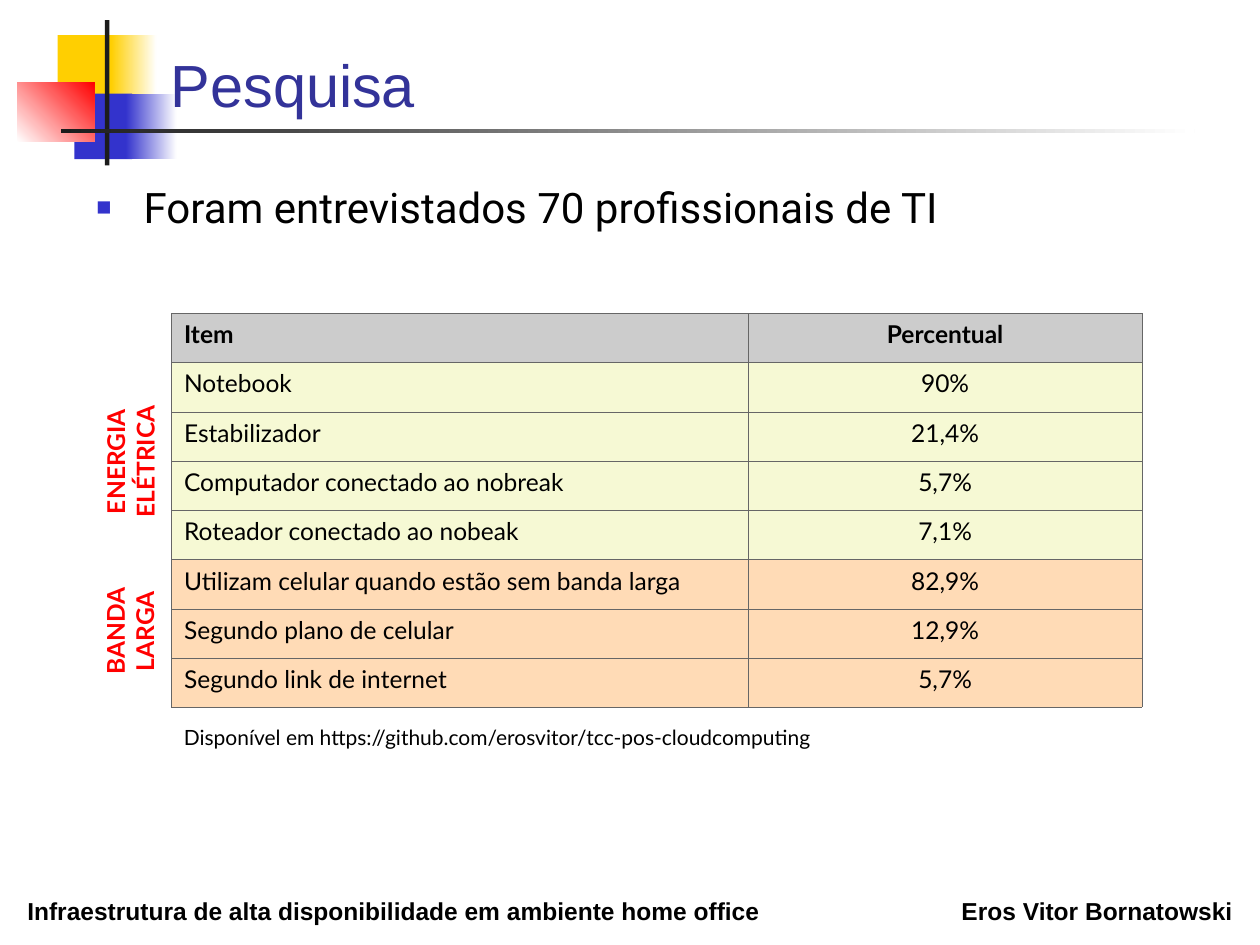
from dataclasses import dataclass
from typing import Any

from lxml import etree
from pptx import Presentation
from pptx.dml.color import RGBColor
from pptx.enum import shapes, text
from pptx.oxml import ns
from pptx.util import Pt

HUES = {
    "gold": "FFCF01", "blue": "3333CC", "red": "FF0000", "dark": "1C1C1C",
    "white": "FFFFFF", "black": "000000", "navy": "333399", "line": "666666",
    "gray": "CCCCCC", "lime": "F6F9D4", "peach": "FFDBB6",
}
LEFT, MID, RIGHT = text.PP_ALIGN.LEFT, text.PP_ALIGN.CENTER, text.PP_ALIGN.RIGHT
TOP, LOW = text.MSO_ANCHOR.TOP, text.MSO_ANCHOR.BOTTOM


@dataclass
class Block:
    x: float
    y: float
    w: float
    h: float
    hue: str
    fade: str = ""
    turn: float = 0


@dataclass
class Label:
    x: float
    y: float
    w: float
    h: float
    lines: tuple[str, ...]
    size: float
    face: str
    hue: str = "black"
    bold: bool = False
    side: Any = LEFT
    spin: float = 0
    wrap: bool = True
    hold: Any = TOP
    dot: bool = False


@dataclass
class Row:
    item: str
    share: str
    hue: str
    bold: bool = False


BLOCKS = [
    Block(33, 20, 34.5, 37.5, "gold"),
    Block(63.5, 20, 26, 37.5, "gold", "white"),
    Block(42.5, 53.5, 33, 37.5, "blue"),
    Block(72, 53.5, 29, 37.5, "blue", "white"),
    Block(10, 47, 44, 34, "white", "red", 45),
    Block(60, 11.5, 2.5, 83, "dark"),
    Block(34.75, 73.5, 648, 2.5, "dark", "white"),
]
LABELS = [
    Label(8.5, 508.5, 433.5, 24.5,
          ("Infraestrutura de alta disponibilidade em ambiente home office",),
          14, "Arial", bold=True, wrap=False),
    Label(542, 508.5, 169.5, 24.5, ("Eros Vitor Bornatowski",),
          14, "Arial", bold=True, side=RIGHT, wrap=False),
    Label(90.5, 23, 613.5, 49, ("Pesquisa",), 34, "Arial", "navy", hold=LOW),
    Label(48, 100, 646, 88, ("Foram entrevistados 70 profissionais de TI",),
          24, "Roboto", dot=True),
    Label(98, 410.5, 420, 21.5,
          ("Disponível em https://github.com/erosvitor/tcc-pos-cloudcomputing",),
          12, "Lato"),
    Label(29.5, 243.5, 89.5, 40.5, ("ENERGIA", "ELÉTRICA"),
          14, "Lato", "red", True, MID, 270),
    Label(39, 340.5, 70, 40.5, ("BANDA", "LARGA"),
          14, "Lato", "red", True, MID, 270),
]
ROWS = [
    Row("Item", "Percentual", "gray", True),
    Row("Notebook", "90%", "lime"),
    Row("Estabilizador", "21,4%", "lime"),
    Row("Computador conectado ao nobreak", "5,7%", "lime"),
    Row("Roteador conectado ao nobeak", "7,1%", "lime"),
    Row("Utilizam celular quando estão sem banda larga", "82,9%", "peach"),
    Row("Segundo plano de celular", "12,9%", "peach"),
    Row("Segundo link de internet", "5,7%", "peach"),
]
COLS = (329.75, 224.75)
TALL = 28.17


def tint(hue: str) -> RGBColor:
    return RGBColor.from_string(HUES[hue])


def add_tag(root: Any, tag: str, **attrs: str) -> Any:
    return etree.SubElement(root, ns.qn(tag), attrs)


def add_run(para: Any, words: str, size: float, face: str, hue: str, bold: bool) -> None:
    run = para.add_run()
    run.text = words
    font = run.font
    font.size, font.name, font.bold = Pt(size), face, bold
    font.color.rgb = tint(hue)


def add_dot(para: Any) -> None:
    props = para._p.get_or_add_pPr()
    props.set("marL", str(Pt(27)))
    props.set("indent", str(Pt(-27)))
    add_tag(add_tag(props, "a:buClr"), "a:srgbClr", val=HUES["blue"])
    add_tag(props, "a:buSzPct", val="60000")
    add_tag(props, "a:buFont", typeface="Arial")
    add_tag(props, "a:buChar", char="■")


def draw_block(slide: Any, block: Block) -> None:
    form = slide.shapes.add_shape(
        shapes.MSO_SHAPE.RECTANGLE, Pt(block.x), Pt(block.y), Pt(block.w), Pt(block.h))
    form.shadow.inherit = False
    form.line.fill.background()
    if block.fade:
        form.fill.gradient()
        form.fill.gradient_angle = block.turn
        for stop, hue in zip(form.fill.gradient_stops, (block.hue, block.fade)):
            stop.color.rgb = tint(hue)
    else:
        form.fill.solid()
        form.fill.fore_color.rgb = tint(block.hue)


def draw_label(slide: Any, label: Label) -> None:
    box = slide.shapes.add_textbox(Pt(label.x), Pt(label.y), Pt(label.w), Pt(label.h))
    box.rotation = label.spin
    frame = box.text_frame
    frame.word_wrap = label.wrap
    frame.vertical_anchor = label.hold
    for rank, words in enumerate(label.lines):
        para = frame.add_paragraph() if rank else frame.paragraphs[0]
        para.alignment = label.side
        if label.dot:
            add_dot(para)
        add_run(para, words, label.size, label.face, label.hue, label.bold)


def draw_cell(cell: Any, words: str, row: Row, side: Any) -> None:
    cell.margin_left = cell.margin_right = Pt(7.2)
    cell.margin_top = cell.margin_bottom = Pt(3.6)
    props = cell._tc.get_or_add_tcPr()
    for edge in ("a:lnL", "a:lnR", "a:lnT", "a:lnB"):
        line = add_tag(props, edge, w=str(Pt(0.06)))
        add_tag(add_tag(line, "a:solidFill"), "a:srgbClr", val=HUES["line"])
    cell.fill.solid()
    cell.fill.fore_color.rgb = tint(row.hue)
    para = cell.text_frame.paragraphs[0]
    para.alignment = side
    add_run(para, words, 14, "Lato", "black", row.bold)


def draw_grid(slide: Any, x: float, y: float) -> None:
    grid = slide.shapes.add_table(
        len(ROWS), len(COLS), Pt(x), Pt(y), Pt(sum(COLS)), Pt(TALL * len(ROWS))).table
    grid.first_row = grid.horz_banding = False
    for col, width in zip(grid.columns, COLS):
        col.width = Pt(width)
    for rank, row in enumerate(ROWS):
        grid.rows[rank].height = Pt(TALL)
        draw_cell(grid.cell(rank, 0), row.item, row, LEFT)
        draw_cell(grid.cell(rank, 1), row.share, row, MID)


def main() -> None:
    """Build the survey slide and save it."""
    deck = Presentation()
    deck.slide_width, deck.slide_height = Pt(720), Pt(540)
    slide = deck.slides.add_slide(deck.slide_layouts[6])
    for block in BLOCKS:
        draw_block(slide, block)
    for label in LABELS:
        draw_label(slide, label)
    draw_grid(slide, 98, 179)
    deck.save("out.pptx")


if __name__ == "__main__":
    main()
